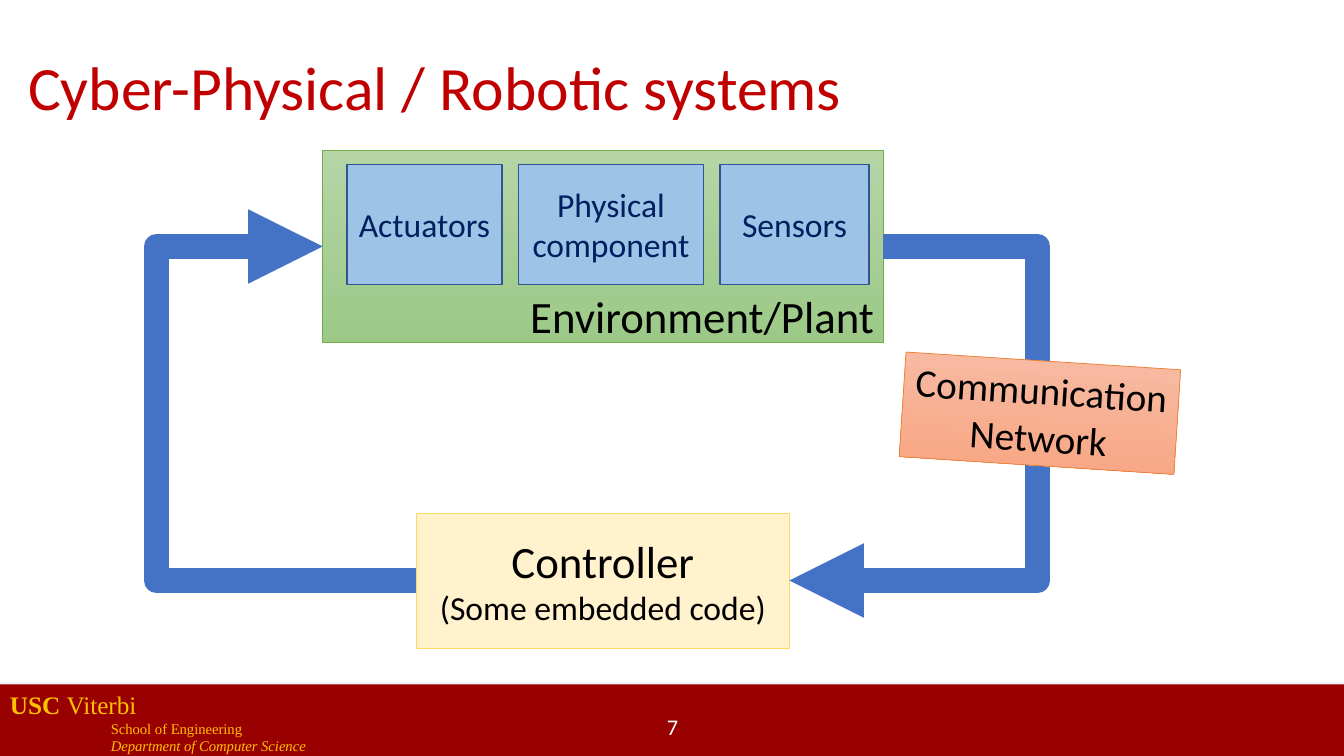
from dataclasses import dataclass

from lxml.etree import SubElement
from pptx import Presentation
from pptx.dml.color import RGBColor
from pptx.enum.shapes import MSO_CONNECTOR as Connector, MSO_SHAPE as Shape
from pptx.enum.text import MSO_ANCHOR as Anchor, PP_ALIGN as Align
from pptx.oxml.ns import qn
from pptx.util import Inches, Pt


@dataclass(frozen=True)
class Theme:
    sans: str = "Calibri"
    serif: str = "Times New Roman"
    title: str = "C00000"
    footer: str = "990000"
    gold: str = "FFC000"
    black: str = "000000"
    white: str = "FFFFFF"
    navy: str = "002060"
    controller: tuple = ("FFF2CC",)
    controller_line: str = "FFD966"
    plant: tuple = ("B5D5A7", "9CC987")
    plant_line: str = "70AD47"
    device: tuple = ("9DC3E6",)
    device_line: str = "325491"
    network: tuple = ("F7BDA5", "F8A582")
    network_line: str = "ED7D31"
    loop: str = "4472C4"
    title_size: float = 44
    heading_size: float = 32
    network_size: float = 28
    device_size: float = 24
    school_size: float = 18
    number_size: float = 16
    unit_size: float = 10.5


theme = Theme()
prs = Presentation()
prs.slide_width, prs.slide_height = Inches(13.33), Inches(7.5)
slide = prs.slides.add_slide(prs.slide_layouts[6])
shapes = slide.shapes


def add_box(place, fills, line=None, width=0.5):
    """Rectangle with a plain fill, or a downward gradient for two colours."""
    box = shapes.add_shape(Shape.RECTANGLE, *map(Inches, place))
    box.shadow.inherit = False
    if len(fills) == 2:
        box.fill.gradient()
        box.fill.gradient_angle = 270
        for stop, color in zip(box.fill.gradient_stops, fills):
            stop.color.rgb = RGBColor.from_string(color)
    else:
        box.fill.solid()
        box.fill.fore_color.rgb = RGBColor.from_string(fills[0])
    if line:
        box.line.color.rgb = RGBColor.from_string(line)
        box.line.width = Pt(width)
    else:
        box.line.fill.background()
    return box


def write(shape, lines, color, align=Align.CENTER, anchor=Anchor.MIDDLE, font=theme.sans):
    """Each line is (size, run, ...); a run is (text, font formats)."""
    frame = shape.text_frame
    frame.word_wrap = True
    frame.vertical_anchor = anchor
    for index, (size, *runs) in enumerate(lines):
        paragraph = frame.add_paragraph() if index else frame.paragraphs[0]
        paragraph.alignment = align
        for text, formats in runs:
            run = paragraph.add_run()
            run.text = text
            run.font.color.rgb = RGBColor.from_string(color)
            for key, value in {"name": font, "size": Pt(size), **formats}.items():
                setattr(run.font, key, value)
    return frame.paragraphs


# Footer band with a soft shadow
band = add_box((0, 6.79, 13.33, 0.71), (theme.footer,))
shadow = SubElement(band._element.spPr.find(qn("a:effectLst")), qn("a:outerShdw"),
                    blurRad=str(Pt(3.1)), dist=str(Pt(1.8)), dir="5400000", rotWithShape="0")
shade = SubElement(shadow, qn("a:srgbClr"), val=theme.black)
SubElement(shade, qn("a:alpha"), val="35000")

# School name, with its units indented below
school = shapes.add_textbox(Inches(0), Inches(6.79), Inches(6.25), Inches(0.77))
school_lines = write(school, [
    (theme.school_size, ("USC ", {"bold": True}), ("Viterbi", {})),
    (theme.unit_size, ("School of Engineering", {})),
    (theme.unit_size, ("Department of Computer Science", {"italic": True})),
], theme.gold, Align.LEFT, Anchor.TOP, theme.serif)
for unit in school_lines[1:]:
    unit._p.get_or_add_pPr().set("marL", str(Inches(1)))

# Title
title = shapes.add_textbox(Inches(0.18), Inches(0.47), Inches(11.94), Inches(0.85))
title_lines = write(title, [(theme.title_size, ("Cyber-Physical / Robotic systems", {}))],
                    theme.title, Align.LEFT)
title_lines[0].line_spacing = 0.9

# Controller and plant
controller = add_box((4.13, 5.09, 3.7, 1.34), theme.controller, theme.controller_line)
write(controller, [(theme.heading_size, ("Controller", {})),
                   (theme.device_size, ("(Some embedded code)", {}))], theme.black)
plant = add_box((3.2, 1.49, 5.56, 1.91), theme.plant, theme.plant_line)

# Devices of the plant, in a row with equal gaps
device_left, device_gap = 3.44, 0.16
for name, width in (("Actuators", 1.54), ("Physical component", 1.84), ("Sensors", 1.48)):
    device = add_box((device_left, 1.63, width, 1.19), theme.device, theme.device_line, 1)
    write(device, [(theme.device_size, (name, {}))], theme.navy)
    device_left += width + device_gap

# Feedback loop: side 1 is left, side 3 is right
for side, bend, arrow_end in ((1, 277300, "tailEnd"), (3, 264700, "headEnd")):
    loop = shapes.add_connector(Connector.ELBOW, 0, 0, 0, 0)
    loop.begin_connect(controller, side)
    loop.end_connect(plant, side)
    loop.line.color.rgb = RGBColor.from_string(theme.loop)
    loop.line.width = Pt(17.75)
    properties = loop._element.spPr
    SubElement(properties.find(qn("a:ln")), qn("a:" + arrow_end), type="triangle")
    SubElement(properties, qn("a:effectLst"))
    guides = properties.find(qn("a:prstGeom")).find(qn("a:avLst"))
    SubElement(guides, qn("a:gd"), name="adj1", fmla=f"val {bend}")
    # A double flip is stored as a half turn
    transform = properties.find(qn("a:xfrm"))
    if transform.get("flipH") and transform.get("flipV"):
        del transform.attrib["flipH"], transform.attrib["flipV"]
        transform.set("rot", "10800000")

# Network across the loop
network = add_box((8.95, 3.58, 2.73, 1.04), theme.network, theme.network_line)
network.rotation = 3.7
write(network, [(theme.network_size, ("Communication Network", {}))],
      theme.black, anchor=Anchor.TOP)

# Plant label and slide number
plant_label = shapes.add_textbox(Inches(5.16), Inches(2.82), Inches(3.62), Inches(0.64))
write(plant_label, [(theme.heading_size, ("Environment/Plant", {}))],
      theme.black, Align.LEFT, Anchor.TOP)
number = shapes.add_textbox(Inches(5.17), Inches(7.01), Inches(3), Inches(0.4))
write(number, [(theme.number_size, ("7", {}))], theme.white)

prs.save("out.pptx")
